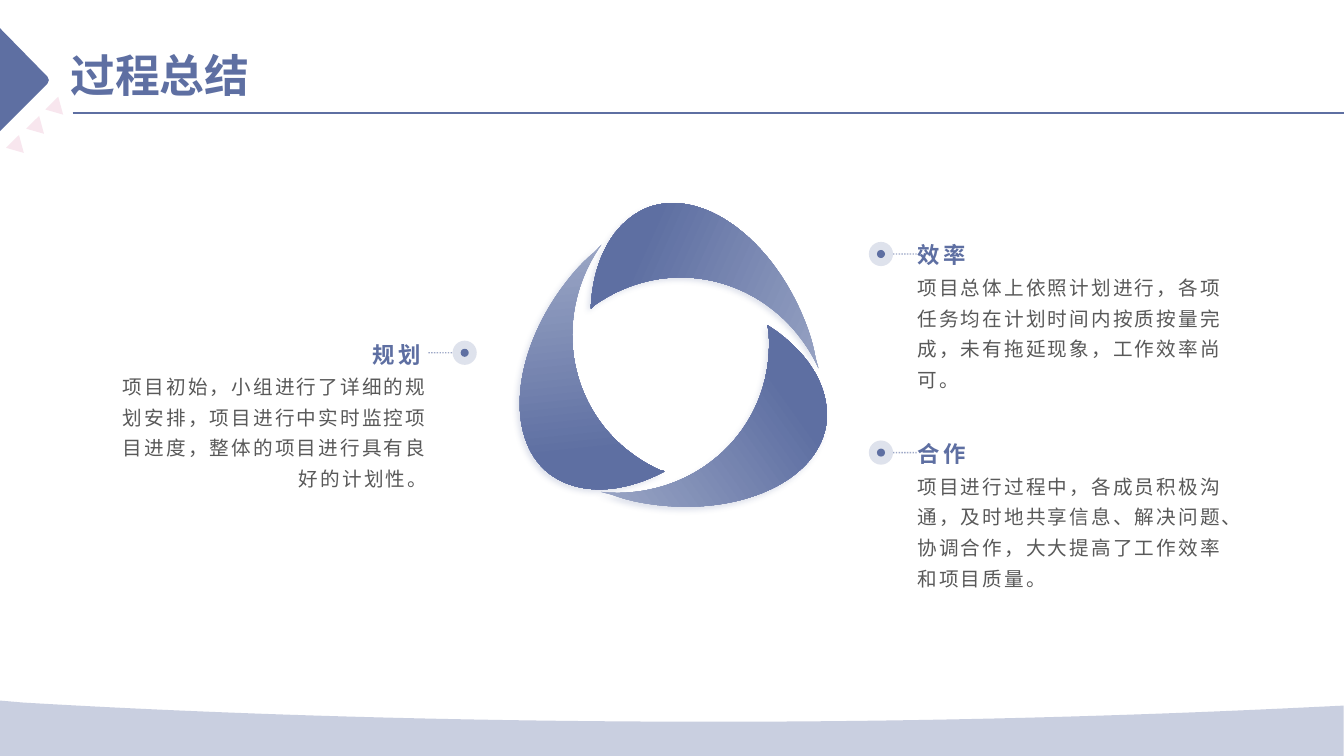
"""Build the process summary slide."""
from dataclasses import dataclass

from lxml import etree
from pptx import Presentation, util as u
from pptx.dml.color import RGBColor
from pptx.enum import dml, shapes, text
from pptx.oxml.ns import qn

PX = 9144
FONT = "Noto Sans CJK SC"
HUES = {"blue": "5E6FA2", "pale": "9EA9C7", "pink": "F8E6EE", "gray": "595959"}
KIND = shapes.MSO_SHAPE
LEFT, RIGHT = text.PP_ALIGN.LEFT, text.PP_ALIGN.RIGHT
TOP, BASE = text.MSO_ANCHOR.TOP, text.MSO_ANCHOR.BOTTOM


@dataclass
class Style:
    size: int
    hue: str
    bold: bool = False
    gap: int = 0
    lead: float = 1.0


@dataclass
class Note:
    head: str
    body: str
    left: int
    top: int
    dot: int
    wire: int
    align: text.PP_ALIGN
    shift: int = 0
    rise: int = 80


@dataclass
class Blade:
    left: int
    top: int
    turn: float


TITLE = Style(32, "blue", bold=True)
HEAD = Style(16, "blue", bold=True, gap=300)
BODY = Style(14, "gray", gap=150, lead=1.3)

NOTES = [
    Note("效率", "项目总体上依照计划进行，各项任务均在计划时间内按质按量完成，未有拖延现象，工作效率尚可。",
         910, 267, 862, 886, LEFT),
    Note("合作", "项目进行过程中，各成员积极沟通，及时地共享信息、解决问题、协调合作，大大提高了工作效率和项目质量。",
         910, 464, 862, 886, LEFT),
    Note("规划", "项目初始，小组进行了详细的规划安排，项目进行中实时监控项目进度，整体的项目进行具有良好的计划性。",
         109, 365, 449, 425, RIGHT, shift=-6, rise=79),
]
BLADES = [Blade(506, 278, 39.1), Blade(618, 309, 279.5), Blade(591, 196, 159.3)]

GEM = [(0, 28), (47, 76), (49, 78, 49, 81, 47, 83), (0, 130)]
WAVE = [(0, 695), (0, 750), (1333, 750), (1333, 700), (1270, 703),
        (1098, 711, 908, 716, 710, 716), (461, 716, 227, 709, 23, 697)]
PETAL = [(4, 0), (8, 65, 52, 122, 117, 138), (142, 144, 167, 143, 190, 137),
         (194, 135), (194, 136), (175, 180, 143, 208, 106, 209),
         (48, 209, 0, 135, 0, 44), (0, 32, 1, 21, 3, 11)]


def tint(name: str) -> RGBColor:
    return RGBColor.from_string(HUES[name])


def fade(item, part: int) -> None:
    color = item._element.spPr.find(".//" + qn("a:srgbClr"))
    etree.SubElement(color, qn("a:alpha"), val=str(part * 1000))


def paint(item, hue: str, part: int = 100) -> None:
    item.shadow.inherit = False
    item.line.fill.background()
    item.fill.solid()
    item.fill.fore_color.rgb = tint(hue)
    if part < 100:
        fade(item, part)


def outline(slide, steps: list):
    spots = [step[k:k + 2] for step in steps for k in range(0, len(step), 2)]
    pen = slide.shapes.build_freeform(*spots[0], scale=PX)
    pen.add_line_segments(spots[1:], close=True)
    item = pen.convert_to_shape()
    parts = iter(item._element.spPr.findall(".//" + qn("a:lnTo")))
    for step in steps[1:]:
        part = next(parts)
        if len(step) == 6:
            part.tag = qn("a:cubicBezTo")
            for rest in (next(parts), next(parts)):
                part.append(rest[0])
                rest.getparent().remove(rest)
    return item


def shape(slide, kind: KIND, x: int, y: int, w: int, h: int, hue: str, part: int = 100):
    item = slide.shapes.add_shape(kind, x * PX, y * PX, w * PX, h * PX)
    paint(item, hue, part)
    return item


def wire(slide, x: int, y: int, end: int, width: float):
    line = slide.shapes.add_connector(
        shapes.MSO_CONNECTOR.STRAIGHT, x * PX, y * PX, end * PX, y * PX)
    line.line.color.rgb = tint("blue")
    line.line.width = u.Pt(width)
    etree.SubElement(line._element.spPr, qn("a:effectLst"))
    return line


def write(slide, words: str, x: int, y: int, w: int, h: int, style: Style,
          align: text.PP_ALIGN = LEFT, anchor: text.MSO_ANCHOR = TOP):
    box = slide.shapes.add_textbox(x * PX, y * PX, w * PX, h * PX)
    frame = box.text_frame
    frame.word_wrap = True
    frame.vertical_anchor = anchor
    frame.text = words
    para = frame.paragraphs[0]
    para.alignment = align
    para.line_spacing = style.lead
    run = para.runs[0]
    run.font.size = u.Pt(style.size)
    run.font.bold = style.bold
    run.font.color.rgb = tint(style.hue)
    run.font.name = FONT
    props = run._r.get_or_add_rPr()
    props.set("spc", str(style.gap))
    etree.SubElement(props, qn("a:ea"), typeface=FONT)
    return frame


def flush(frame) -> None:
    frame.margin_left = frame.margin_right = 0
    frame.margin_top = frame.margin_bottom = 0


def draw_note(slide, note: Note) -> None:
    flush(write(slide, note.head, note.left + note.shift, note.top - note.rise, 315, 79,
                HEAD, note.align, BASE))
    flush(write(slide, note.body, note.left, note.top, 315, 118, BODY, note.align))
    shape(slide, KIND.OVAL, note.dot, note.top - 27, 24, 24, "blue", 20)
    shape(slide, KIND.OVAL, note.dot + 8, note.top - 19, 8, 8, "blue")
    line = wire(slide, note.wire, note.top - 15, note.wire + 24, 1)
    line.line.dash_style = dml.MSO_LINE.ROUND_DOT
    fade(line, 60)


def draw_blade(slide, blade: Blade) -> None:
    item = outline(slide, PETAL)
    item.left, item.top = blade.left * PX, blade.top * PX
    item.rotation = blade.turn
    paint(item, "blue")
    item.fill.gradient()
    item.fill.gradient_angle = 315
    for stop, hue, place in zip(item.fill.gradient_stops, ("pale", "blue"), (0, 0.71)):
        stop.color.rgb = tint(hue)
        stop.position = place
    glow = etree.SubElement(
        item._element.spPr.find(qn("a:effectLst")), qn("a:outerShdw"),
        blurRad=str(u.Pt(4)), dist=str(u.Pt(3)), dir="8100000", rotWithShape="0")
    color = etree.SubElement(glow, qn("a:srgbClr"), val=HUES["blue"])
    etree.SubElement(color, qn("a:alpha"), val="20000")


def draw_frame(slide) -> None:
    for i in range(3):
        mark = shape(slide, KIND.ISOSCELES_TRIANGLE, 9 + (39 * i + 1) // 2,
                     138 - 19 * i, 18, 16, "pink")
        mark.rotation = 135.5
    paint(outline(slide, GEM), "blue")
    wire(slide, 72, 112, 1333, 1.5)
    paint(outline(slide, WAVE), "blue", 33)
    title = write(slide, "过程总结", 60, 42, 563, 64, TITLE)
    title.auto_size = text.MSO_AUTO_SIZE.SHAPE_TO_FIT_TEXT


def main() -> None:
    deck = Presentation()
    deck.slide_width, deck.slide_height = 12192000, 750 * PX
    slide = deck.slides.add_slide(deck.slide_layouts[6])
    draw_frame(slide)
    for blade in BLADES:
        draw_blade(slide, blade)
    for note in NOTES:
        draw_note(slide, note)
    deck.save("out.pptx")


if __name__ == "__main__":
    main()
